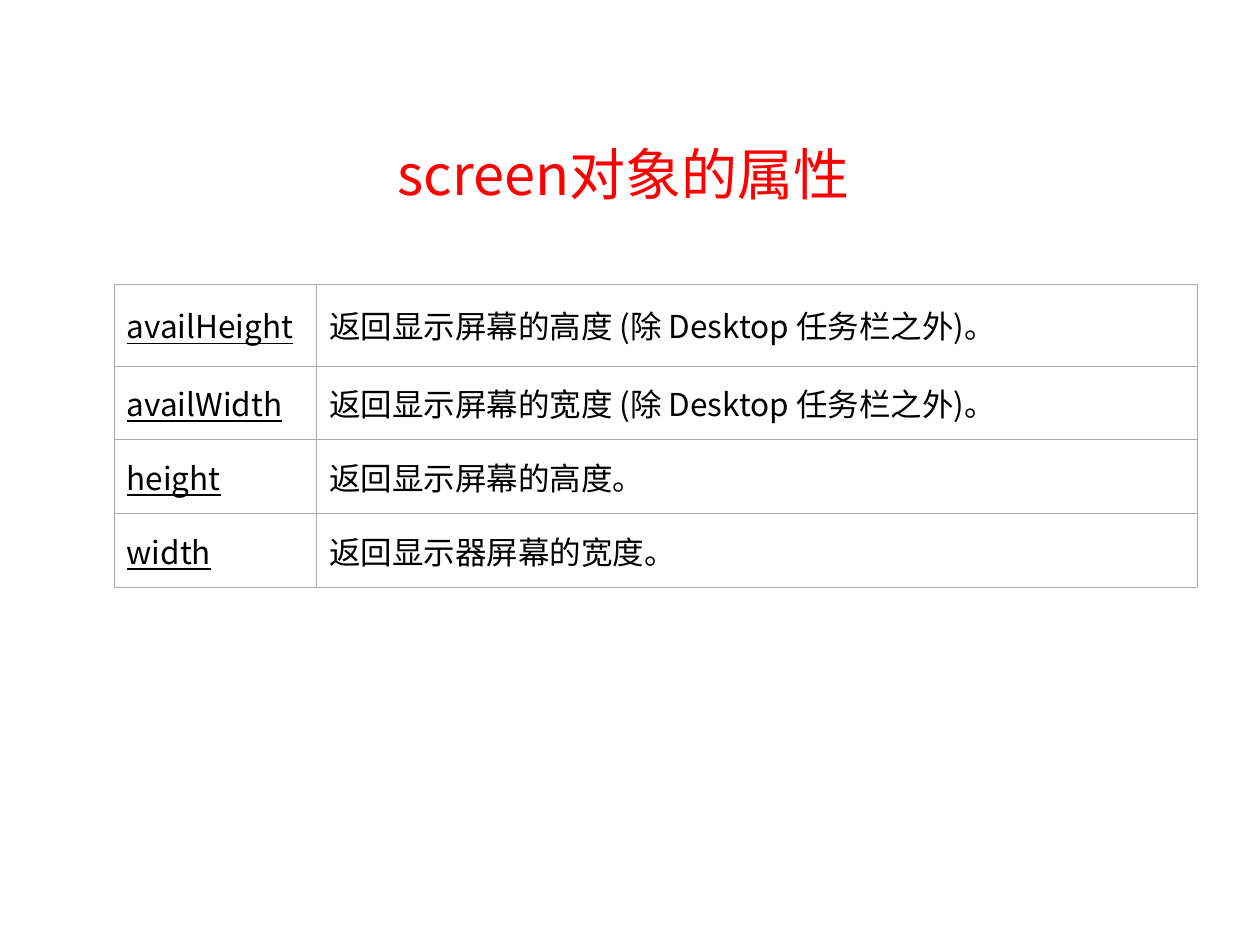
"""Build a slide with a table of the properties of the screen object."""
from lxml.etree import SubElement
from pptx import Presentation
from pptx.dml.color import RGBColor
from pptx.enum.text import MSO_ANCHOR, PP_ALIGN
from pptx.oxml.ns import qn
from pptx.util import Cm, Pt

TITLE = "screen对象的属性 "
PROPERTIES = [
    ("availHeight", "返回显示屏幕的高度 (除 Desktop 任务栏之外)。"),
    ("availWidth", "返回显示屏幕的宽度 (除 Desktop 任务栏之外)。"),
    ("height", "返回显示屏幕的高度。"),
    ("width", "返回显示器屏幕的宽度。"),
]
FONT = "Noto Sans CJK SC"
COLORS = {"title": "FF0000", "text": "000000", "cell": "FFFFFF", "border": "AAAAAA"}
COLUMN_WIDTHS = [Cm(4.08), Cm(17.75)]
ROW_HEIGHTS = [Cm(1.64)] + [Cm(1.49)] * (len(PROPERTIES) - 1)
BORDER_WIDTH = Pt(0.06)


def add_span(para, text, size, color, underline=False):
    span = para.add_run()
    span.text = text
    span.font.size = Pt(size)
    span.font.name = FONT
    span.font.underline = underline
    span.font.color.rgb = RGBColor.from_string(COLORS[color])
    SubElement(span.font._element, qn("a:ea"), typeface=FONT)


def add_borders(cell):
    properties = cell._tc.get_or_add_tcPr()
    for position, side in enumerate(("a:lnL", "a:lnR", "a:lnT", "a:lnB")):
        line = SubElement(properties, qn(side), w=str(int(BORDER_WIDTH)))
        fill = SubElement(line, qn("a:solidFill"))
        SubElement(fill, qn("a:srgbClr"), val=COLORS["border"])
        properties.insert(position, line)


def add_title(page):
    box = page.shapes.add_textbox(Cm(0.84), Cm(1.9), Cm(23.72), Cm(3.18))
    frame = box.text_frame
    frame.word_wrap = True
    frame.vertical_anchor = MSO_ANCHOR.MIDDLE
    para = frame.paragraphs[0]
    para.alignment = PP_ALIGN.CENTER
    add_span(para, TITLE, 32, "title")


def add_properties(page):
    table = page.shapes.add_table(
        len(PROPERTIES), len(COLUMN_WIDTHS), Cm(2.3), Cm(5.73),
        sum(COLUMN_WIDTHS), sum(ROW_HEIGHTS)).table
    table.first_row = table.horz_banding = False
    for column, width in zip(table.columns, COLUMN_WIDTHS):
        column.width = width
    for row, height, texts in zip(table.rows, ROW_HEIGHTS, PROPERTIES):
        row.height = height
        for index, (cell, text) in enumerate(zip(row.cells, texts)):
            cell.fill.solid()
            cell.fill.fore_color.rgb = RGBColor.from_string(COLORS["cell"])
            cell.vertical_anchor = MSO_ANCHOR.MIDDLE
            add_borders(cell)
            para = cell.text_frame.paragraphs[0]
            para.space_before = Pt(4.5)
            add_span(para, text, 18, "text", underline=index == 0)


def main():
    deck = Presentation()
    deck.slide_width, deck.slide_height = Cm(25.4), Cm(19.05)
    page = deck.slides.add_slide(deck.slide_layouts[6])
    add_title(page)
    add_properties(page)
    deck.save("out.pptx")


if __name__ == "__main__":
    main()
